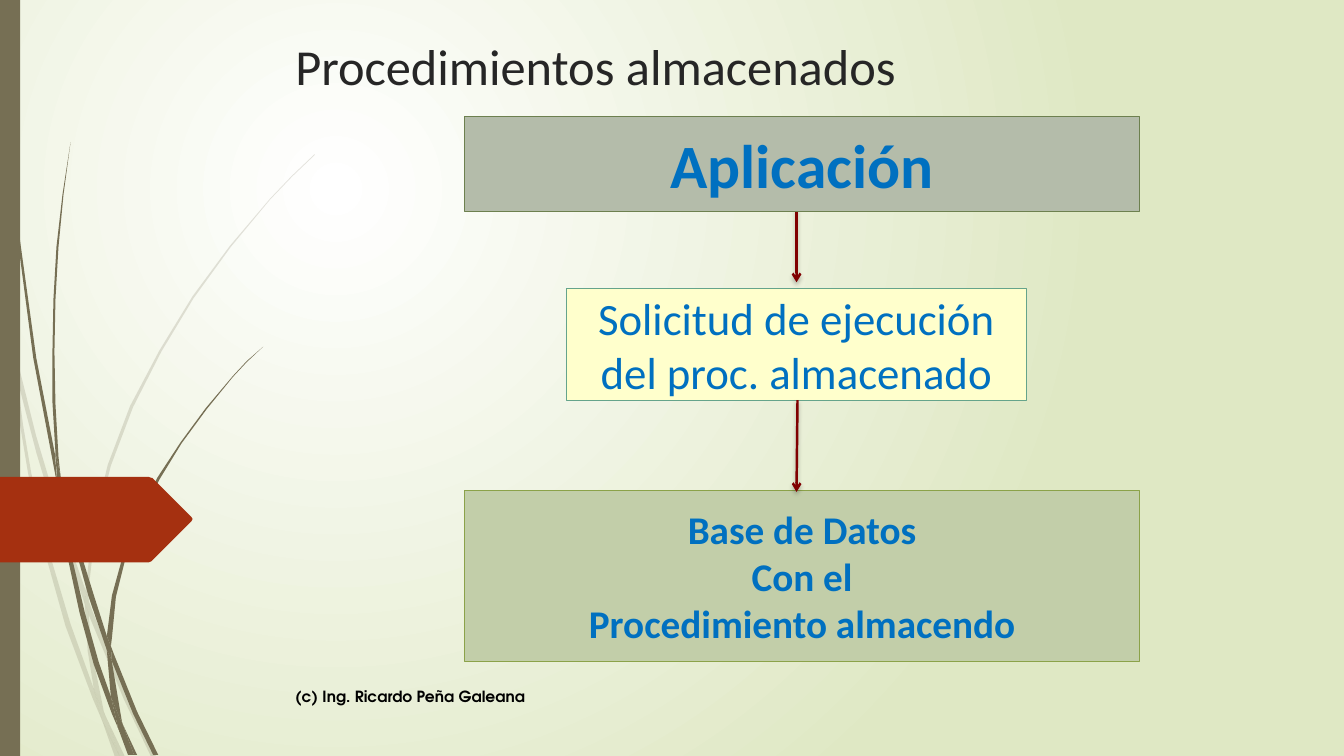
from dataclasses import dataclass

from pptx import Presentation
from pptx.dml.color import RGBColor
from pptx.enum.shapes import MSO_CONNECTOR, MSO_SHAPE
from pptx.enum.text import MSO_ANCHOR, PP_ALIGN
from pptx.oxml import parse_xml
from pptx.oxml.ns import nsdecls
from pptx.util import Inches, Pt

RECT = MSO_SHAPE.RECTANGLE
STRAIGHT = MSO_CONNECTOR.STRAIGHT
MIDDLE, BOTTOM = MSO_ANCHOR.MIDDLE, MSO_ANCHOR.BOTTOM
LEFT, CENTER = PP_ALIGN.LEFT, PP_ALIGN.CENTER


@dataclass(frozen=True)
class Theme:
    bg_inner: str = "FFFFFF"
    bg_outer: str = "DFE8C4"
    stem: str = "766F54"
    tag: str = "A53010"
    title: str = "262626"
    footer: str = "000000"
    label: str = "0070C0"
    arrow: str = "800000"
    request_fill: str = "FFFFCC"
    request_line: str = "65A48B"
    database_fill: str = "C2CEA9"
    database_line: str = "8BA249"
    app_fill: str = "B4BCAA"
    app_line: str = "6D804F"
    font: str = "Calibri"
    footer_font: str = "TeX Gyre Adventor"
    footer_size: int = 11
    title_size: int = 36
    app_size: int = 44
    request_size: int = 32
    database_size: int = 28


THEME = Theme()


@dataclass(frozen=True)
class TextStyle:
    size: int
    color: str
    font: str = THEME.font
    bold: bool = False
    align: PP_ALIGN = LEFT
    anchor: MSO_ANCHOR = MIDDLE


@dataclass(frozen=True)
class Box:
    lines: tuple[str, ...]
    at: tuple[float, float, float, float]
    style: TextStyle
    fill: str | None = None
    line: str | None = None


@dataclass(frozen=True)
class Arrow:
    start: tuple[float, float]
    end: tuple[float, float]


# Grass outlines: x,y corners in inches, one closed blade piece per string
PALE_BLADES = (
    "0.11,3.5 0.09,3.22 0,2.82 0,2.99 0.1,3.44",
    "0.58,5.22 0.84,5.99 0.85,5.86 0.62,5.2 0.36,4.33 0.14,3.45 0.17,3.76 0.36,4.49",
    "0.92,6.07 0.88,5.96 0.88,6.1 1.23,6.94 1.5,7.51 1.55,7.51 1.27,6.92",
    "1.19,7.51 1.24,7.51 1.05,7.11",
    "0.93,6.83 0.7,6.19 0.48,5.45 0.31,4.69 0.23,4.22 0.17,3.76 0.11,3.5 "
    "0.18,4.1 0.28,4.7 0.44,5.46 0.65,6.21 0.92,6.93 1.01,7.14 0.99,7.07",
    "0.84,5.99 0.87,6.46 0.93,6.83 0.96,6.92 1.05,7.11 1.03,7.06 0.91,6.46 0.88,6.1 0.88,6.08",
    "0.88,5.84 0.95,5.22 1.1,4.62 1.32,4.04 1.6,3.49 1.92,2.96 2.29,2.45 2.68,1.98 "
    "2.9,1.75 3.12,1.54 3.12,1.53 2.89,1.75 2.68,1.97 2.28,2.44 1.91,2.94 1.58,3.48 "
    "1.29,4.03 1.07,4.61 0.92,5.22 0.85,5.84 0.85,5.86 0.88,5.96",
    "1.01,7.14 1.14,7.51 1.19,7.51",
    "0.88,6.08 0.88,6.1 0.88,5.96 0.85,5.86 0.84,5.99",
    "0.96,6.92 0.93,6.83 0.99,7.07 1.01,7.14 1.19,7.51 1.05,7.11",
)
DARK_BLADES = (
    "0.07,1.1 0.17,2.33 0.33,3.55 0.56,4.77 0.57,4.81 0.55,4.57 0.55,4.53 "
    "0.36,3.55 0.19,2.32 0.08,1.09 0.05,0.48 0.04,0 0.03,0 0.04,0.48",
    "0.88,5.92 1.06,6.45 1.06,6.33 1.06,6.31 0.93,5.9 0.75,5.32 0.6,4.72 0.64,5.05",
    "1.13,6.49 1.1,6.41 1.11,6.56 1.32,7.08 1.52,7.49 1.57,7.49 1.36,7.06",
    "1.1,6.91 0.98,6.57 0.84,6.07 0.72,5.56 0.64,5.05 0.57,4.77 "
    "0.68,5.57 0.79,6.08 0.93,6.59 1.11,7.08 1.17,7.22 1.16,7.17",
    "0.6,4.72 0.58,4.53 0.55,4.01 0.54,3.49 0.55,2.97 0.58,2.45 0.63,1.93 "
    "0.7,1.41 0.62,1.93 0.56,2.45 0.53,2.97 0.52,3.49 0.52,3.99 0.55,4.49",
    "1.33,7.49 1.36,7.49 1.22,7.19",
    "0.57,4.77 0.64,5.05 0.6,4.72 0.55,4.49 0.55,4.53",
    "1.11,6.33 1.15,5.92 1.25,5.52 1.4,5.13 1.58,4.76 1.8,4.4 2.05,4.06 2.31,3.74 "
    "2.45,3.59 2.61,3.44 2.45,3.58 2.31,3.73 2.04,4.05 1.79,4.39 1.56,4.74 "
    "1.37,5.12 1.22,5.51 1.11,5.91 1.06,6.31 1.1,6.41",
    "1.17,7.22 1.27,7.49 1.31,7.49",
    "1.06,6.45 1.1,6.91 1.16,7.06 1.22,7.19 1.21,7.16 1.11,6.56 1.09,6.51",
    "1.06,6.45 1.09,6.51 1.11,6.56 1.1,6.41 1.06,6.31 1.06,6.33",
    "1.16,7.06 1.1,6.91 1.16,7.17 1.17,7.22 1.3,7.49 1.33,7.49 1.22,7.19",
)
TAG = ("0,4.73 1.47,4.73 1.5,4.74 1.51,4.74 1.9,5.13 1.91,5.15 "
       "1.9,5.17 1.51,5.56 1.5,5.57 1.47,5.58 0,5.58")

FOOTER_STYLE = TextStyle(THEME.footer_size, THEME.footer, THEME.footer_font, bold=True)
TITLE_STYLE = TextStyle(THEME.title_size, THEME.title, anchor=BOTTOM)
APP_STYLE = TextStyle(THEME.app_size, THEME.label, bold=True, align=CENTER)
REQUEST_STYLE = TextStyle(THEME.request_size, THEME.label, align=CENTER)
DATABASE_STYLE = TextStyle(THEME.database_size, THEME.label, bold=True, align=CENTER)

FOOTER = Box(("(c) Ing. Ricardo Peña Galeana",), (2.83, 6.71, 8.33, 0.4), FOOTER_STYLE)
TITLE = Box(("Procedimientos almacenados",), (2.83, 0.22, 8.69, 0.78), TITLE_STYLE)
REQUEST = Box(("Solicitud de ejecución del proc. almacenado",), (5.62, 2.86, 4.56, 1.11),
              REQUEST_STYLE, THEME.request_fill, THEME.request_line)
DATABASE = Box(("Base de Datos", "Con el", "Procedimiento almacendo"), (4.61, 4.87, 6.69, 1.69),
               DATABASE_STYLE, THEME.database_fill, THEME.database_line)
APPLICATION = Box(("Aplicación",), (4.61, 1.16, 6.69, 0.94),
                  APP_STYLE, THEME.app_fill, THEME.app_line)
ARROWS = (Arrow((7.9, 2.08), (7.9, 2.8)), Arrow((7.91, 3.97), (7.9, 4.88)))


def paint_background(s) -> None:
    fill = s.background.fill
    fill.gradient()
    for stop, color in zip(fill.gradient_stops, (THEME.bg_inner, THEME.bg_outer)):
        stop.color.rgb = RGBColor.from_string(color)
    lin = s.element.xpath(".//p:bg//a:lin")[0]
    lin.getparent().replace(lin, parse_xml(
        f'<a:path {nsdecls("a")} path="circle">'
        '<a:fillToRect l="50000" t="50000" r="100000" b="100000"/></a:path>'))


def paint(sp, color: str, opacity: int = 100) -> None:
    sp.shadow.inherit = False
    sp.fill.solid()
    sp.fill.fore_color.rgb = RGBColor.from_string(color)
    sp.line.fill.background()
    if opacity < 100:
        clr = sp._element.spPr.xpath("./a:solidFill/a:srgbClr")[0]
        clr.append(parse_xml(f'<a:alpha {nsdecls("a")} val="{opacity * 1000}"/>'))


def draw_outline(s, outline: str, color: str, opacity: int = 100) -> None:
    points = [tuple(round(float(v) * 100) for v in pair.split(","))
              for pair in outline.split()]
    builder = s.shapes.build_freeform(*points[0], scale=Inches(0.01))
    builder.add_line_segments(points[1:], close=True)
    paint(builder.convert_to_shape(), color, opacity)


def draw_box(s, box: Box) -> None:
    at = [Inches(v) for v in box.at]
    if box.fill:
        sp = s.shapes.add_shape(RECT, *at)
        paint(sp, box.fill)
        sp.line.color.rgb = RGBColor.from_string(box.line)
        sp.line.width = Pt(0.75)
    else:
        sp = s.shapes.add_textbox(*at)
    tf = sp.text_frame
    tf.text = "\n".join(box.lines)
    tf.word_wrap = True
    tf.vertical_anchor = box.style.anchor
    for p in tf.paragraphs:
        p.alignment = box.style.align
        for r in p.runs:
            r.font.name = box.style.font
            r.font.size = Pt(box.style.size)
            r.font.bold = box.style.bold
            r.font.color.rgb = RGBColor.from_string(box.style.color)


def draw_arrow(s, arrow: Arrow) -> None:
    c = s.shapes.add_connector(STRAIGHT, *(Inches(v) for v in (*arrow.start, *arrow.end)))
    c.line.color.rgb = RGBColor.from_string(THEME.arrow)
    c.line.width = Pt(1.75)
    c.line._get_or_add_ln().append(parse_xml(f'<a:tailEnd {nsdecls("a")} type="arrow"/>'))
    c._element.spPr.append(parse_xml(
        f'<a:effectLst {nsdecls("a")}><a:outerShdw blurRad="{Pt(3)}" dist="{Pt(2)}" dir="5400000">'
        '<a:srgbClr val="000000"><a:alpha val="25000"/></a:srgbClr></a:outerShdw></a:effectLst>'))


def main() -> None:
    prs = Presentation()
    prs.slide_width, prs.slide_height = Inches(13.33), Inches(7.5)
    s = prs.slides.add_slide(prs.slide_layouts[6])
    # Backdrop: gradient, grass, side bar and tag
    paint_background(s)
    for blades, opacity in ((PALE_BLADES, 20), (DARK_BLADES, 100)):
        for blade in blades:
            draw_outline(s, blade, THEME.stem, opacity)
    paint(s.shapes.add_shape(RECT, 0, 0, Inches(0.2), prs.slide_height), THEME.stem)
    draw_outline(s, TAG, THEME.tag)
    # Footer, title and flow diagram
    for box in (FOOTER, TITLE, REQUEST, DATABASE):
        draw_box(s, box)
    for arrow in ARROWS:
        draw_arrow(s, arrow)
    draw_box(s, APPLICATION)
    prs.save("out.pptx")


if __name__ == "__main__":
    main()
